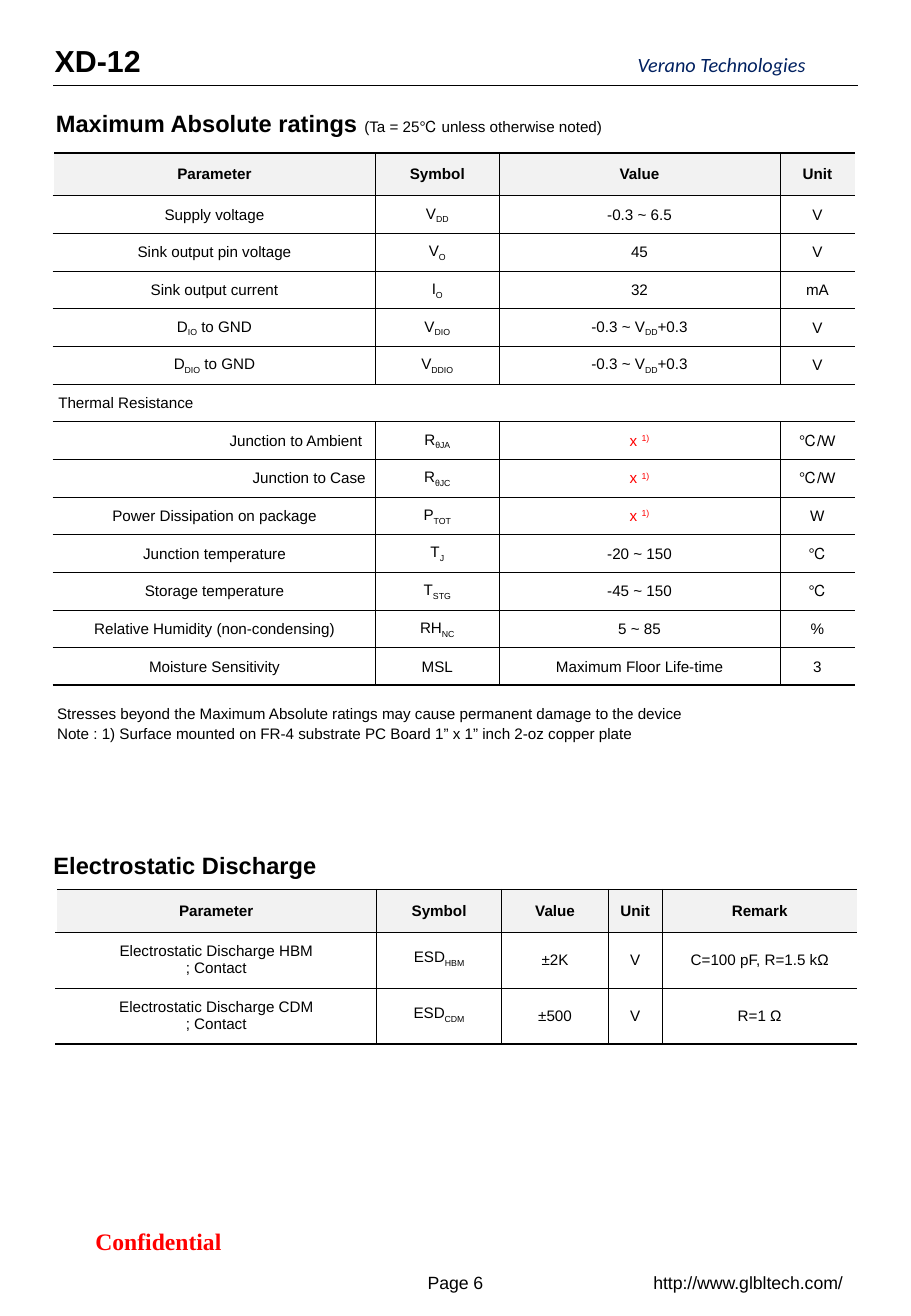
"""Builds the ratings page of the XD-12 data sheet."""
from lxml import etree
from pptx import Presentation
from pptx import util as u
from pptx.dml.color import RGBColor
from pptx.enum import shapes, text
from pptx.oxml.ns import qn

BLACK = RGBColor(0, 0, 0)
WHITE = RGBColor(255, 255, 255)
RED = RGBColor(255, 0, 0)
NAVY = RGBColor(0, 0x20, 0x60)
GREY = RGBColor(0xF2, 0xF2, 0xF2)
LEFT, CENTER, RIGHT = text.PP_ALIGN.LEFT, text.PP_ALIGN.CENTER, text.PP_ALIGN.RIGHT
TOP, MIDDLE = text.MSO_ANCHOR.TOP, text.MSO_ANCHOR.MIDDLE
PX = 9144
THIN, THICK = 0.25, 1

# "|" separates subscripts, "^" starts a superscript
RATINGS = [
    ("Parameter", "Symbol", "Value", "Unit"),
    ("Supply voltage", "V|DD", "-0.3 ~ 6.5", "V"),
    ("Sink output pin voltage", "V|O", "45", "V"),
    ("Sink output current", "I|O", "32", "mA"),
    ("D|IO| to GND", "V|DIO", "-0.3 ~ V|DD|+0.3", "V"),
    ("D|DIO| to GND", "V|DDIO", "-0.3 ~ V|DD|+0.3", "V"),
    ("Thermal Resistance", "", "", ""),
    ("Junction to Ambient", "R|θJA", "x ^1)", "℃/W"),
    ("Junction to Case", "R|θJC", "x ^1)", "℃/W"),
    ("Power Dissipation on package", "P|TOT", "x ^1)", "W"),
    ("Junction temperature", "T|J", "-20 ~ 150", "℃"),
    ("Storage temperature", "T|STG", "-45 ~ 150", "℃"),
    ("Relative Humidity (non-condensing)", "RH|NC", "5 ~ 85", "%"),
    ("Moisture Sensitivity", "MSL", "Maximum Floor Life-time", "3"),
]
DISCHARGE = [
    ("Parameter", "Symbol", "Value", "Unit", "Remark"),
    ("Electrostatic Discharge HBM\n; Contact", "ESD|HBM", "±2K", "V", "C=100 pF, R=1.5 kΩ"),
    ("Electrostatic Discharge CDM\n; Contact", "ESD|CDM", "±500", "V", "R=1 Ω"),
]
ASIDE = {"Thermal Resistance": (LEFT, 4, 0), "Junction to Ambient": (RIGHT, 0, 11),
         "Junction to Case": (RIGHT, 1, 8)}
TABLES = [
    ((44, 126), (265, 102, 231, 62), 31, (1, 1, 1, 0), None, RATINGS),
    ((46, 732), (264, 103, 88, 44, 161), 46, (7, 0, 7, 0), u.Pt(10), DISCHARGE),
]
PLAIN, HEAD = (0, 5, 0, 5), (0, 5, 10, 5)
LABELS = [
    ((328, 1038, 94, 34), (10, 5, 10, 5), MIDDLE, CENTER, True,
     ["Page 6"], ("Arial", 10.5, BLACK, False, False)),
    ((522, 1038, 188, 34), (10, 5, 10, 5), MIDDLE, CENTER, True,
     ["http://www.glbltech.com/"], ("Arial", 10.5, BLACK, False, False)),
    ((34, 1004, 193, 34), (10, 5, 10, 5), MIDDLE, CENTER, True,
     ["Confidential"], ("Times New Roman", 14, RED, True, False)),
    ((525, 43, 160, 20), (0, 0, 0, 0), TOP, LEFT, False,
     ["Verano Technologies"], ("Calibri", 12, NAVY, False, True)),
    ((45, 30, 665, 40), PLAIN, TOP, LEFT, True,
     ["XD-12"], ("Arial", 18, BLACK, True, False)),
    ((46, 85, 461, 34), HEAD, TOP, LEFT, False,
     ["Maximum Absolute ratings "], ("Arial", 14, BLACK, True, False)),
    ((43, 578, 664, 33), (4, 2, 0, 0), TOP, LEFT, True,
     ["Stresses beyond the Maximum Absolute ratings may cause permanent damage to the device",
      "Note : 1) Surface mounted on FR-4 substrate PC Board 1” x 1” inch 2-oz copper plate"],
     ("Arial", 9, BLACK, False, False)),
    ((44, 695, 228, 34), HEAD, TOP, LEFT, False,
     ["Electrostatic Discharge"], ("Arial", 14, BLACK, True, False)),
]
CONDITION = {"Maximum Absolute ratings ": "(Ta = 25℃ unless otherwise noted)"}


def set_font(font, name, size, color, bold, italic=False):
    font.name, font.size, font.bold, font.italic = name, u.Pt(size), bold, italic
    font.color.rgb = color


def set_insets(obj, insets):
    obj.margin_left, obj.margin_top, obj.margin_right, obj.margin_bottom = (
        v * PX for v in insets)


def add_label(s, box, insets, anchor, align, wrap, lines, font):
    tf = s.shapes.add_textbox(*(v * PX for v in box)).text_frame
    set_insets(tf, insets)
    tf.vertical_anchor, tf.word_wrap = anchor, wrap
    for i, line in enumerate(lines):
        p = tf.paragraphs[0] if i == 0 else tf.add_paragraph()
        p.alignment = align
        if i:
            p.space_before = u.Pt(1)
        r = p.add_run()
        r.text = line
        set_font(p.font, *font)
        if line in CONDITION:
            r = p.add_run()
            r.text = CONDITION[line]
            r.font.size, r.font.bold = u.Pt(9), False


def set_borders(cell, sides):
    tcPr = cell._tc.get_or_add_tcPr()
    for i, (side, (color, width)) in enumerate(sides.items()):
        ln = etree.Element(qn("a:ln" + side), w=str(int(u.Pt(width))))
        if color is None:
            etree.SubElement(ln, qn("a:noFill"))
        else:
            fill = etree.SubElement(ln, qn("a:solidFill"))
            etree.SubElement(fill, qn("a:srgbClr"), val=str(color))
        tcPr.insert(i, ln)


def fill_cell(cell, value, bold, align, spacing):
    raised = "^" in value
    tf = cell.text_frame
    for i, line in enumerate(value.split("\n")):
        p = tf.paragraphs[0] if i == 0 else tf.add_paragraph()
        p.alignment = align
        if spacing:
            p.line_spacing = spacing
        set_font(p.font, "Arial", 9, RED if raised else BLACK, bold)
        for j, part in enumerate(line.replace("^", "|").split("|")):
            if part:
                r = p.add_run()
                r.text = part
                if j % 2:
                    r.font._element.set("baseline", "30000" if raised else "-25000")


def add_grid(s, origin, cols, row_h, insets, spacing, rows):
    heights = [35] + [row_h] * (len(rows) - 1)
    size = (sum(cols), sum(heights))
    tb = s.shapes.add_table(len(rows), len(cols), *(v * PX for v in origin + size)).table
    tb.first_row = tb.horz_banding = False
    for col, w in zip(tb.columns, cols):
        col.width = w * PX
    last_row, last_col = len(rows) - 1, len(cols) - 1
    for y, row in enumerate(rows):
        tb.rows[y].height = heights[y] * PX
        spans = "" in row
        for x, value in enumerate(row):
            cell = tb.cell(y, x)
            align, left, right = ASIDE.get(value, (CENTER, insets[0], insets[2]))
            set_insets(cell, (left, insets[1], right, insets[3]) if y else (0, 0, 0, 0))
            cell.vertical_anchor = MIDDLE
            fill_cell(cell, value, y == 0, align, spacing if y else None)
            if y == 0:
                cell.fill.solid()
                cell.fill.fore_color.rgb = GREY
            else:
                cell.fill.background()
            inner = (None if spans else BLACK, THIN)
            set_borders(cell, {
                "L": (WHITE, THICK) if x == 0 else inner,
                "R": (None, THIN) if x == last_col else inner,
                "T": (BLACK, THICK if y == 0 else THIN),
                "B": (BLACK, THICK if y == last_row else THIN)})


def main():
    prs = Presentation()
    prs.slide_width, prs.slide_height = 750 * PX, 1083 * PX
    s = prs.slides.add_slide(prs.slide_layouts[6])
    rule = s.shapes.add_connector(
        shapes.MSO_CONNECTOR.STRAIGHT, *(v * PX for v in (44, 70, 706, 70)))
    rule.line.color.rgb, rule.line.width = BLACK, u.Pt(0.5)
    etree.SubElement(rule._element.spPr, qn("a:effectLst"))
    for label in LABELS:
        add_label(s, *label)
    for grid in TABLES:
        add_grid(s, *grid)
    prs.save("out.pptx")


if __name__ == "__main__":
    main()
